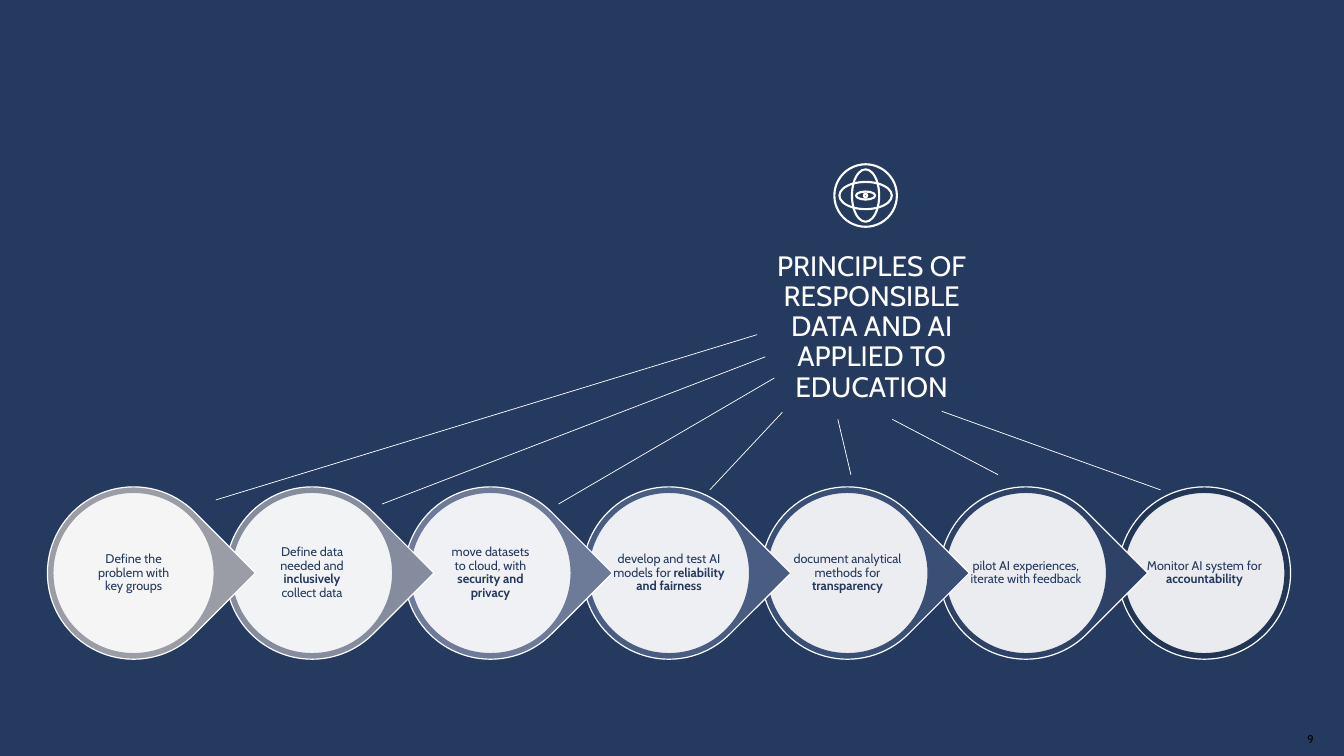
import pptx
import pptx.util
import pptx.dml.color
import pptx.enum.shapes
import pptx.enum.text
import pptx.oxml.ns
import lxml.etree

Inches = pptx.util.Inches
Pt = pptx.util.Pt
Kind = pptx.enum.shapes.MSO_SHAPE
Align = pptx.enum.text.PP_ALIGN
qn = pptx.oxml.ns.qn

COLORS = {"navy": "243A5E", "white": "FFFFFF", "black": "000000",
          "step1": "9A9DA5", "step2": "848C9E", "step3": "6D7A98",
          "step4": "495D83", "step5": "3A4F75", "step6": "2D4266",
          "step7": "213555"}


def rgb(name):
    return pptx.dml.color.RGBColor.from_string(COLORS[name])


def add_text(box, runs, size, color, align=Align.CENTER, inset=0, wrap=True):
    """Place a text box holding one paragraph of (text, bold) runs."""
    frame = slide.shapes.add_textbox(*[Inches(n) for n in box]).text_frame
    frame.word_wrap = wrap
    frame.margin_left = frame.margin_right = Inches(inset)
    frame.margin_top = frame.margin_bottom = Inches(inset)
    para = frame.paragraphs[0]
    para.alignment = align
    para.line_spacing = 0.9
    for text, bold in runs:
        run = para.add_run()
        run.text = text
        run.font.name = "Cabin"
        run.font.size = Pt(size)
        run.font.bold = bold
        run.font.color.rgb = rgb(color)
    return frame


deck = pptx.Presentation()
deck.slide_width = Inches(13.33)
deck.slide_height = Inches(7.5)
slide = deck.slides.add_slide(deck.slide_layouts[6])
slide.background.fill.solid()
slide.background.fill.fore_color.rgb = rgb("navy")

# Slide number
add_text((12.89, 7.28, 0.14, 0.13), [("9", False)], 8, "black",
         Align.RIGHT, wrap=False)

# Chain of steps: side of the text box, then its runs
steps = [
    (0.81, [("Define the problem with key groups", False)]),
    (0.81, [("Define data needed and ", False), ("inclusively ", True),
            ("collect data", False)]),
    (0.81, [("move datasets to cloud, with ", False),
            ("security and privacy", True)]),
    (1.14, [("develop and test AI models for ", False),
            ("reliability and fairness", True)]),
    (1.14, [("document analytical methods for ", False),
            ("transparency", True)]),
    (1.14, [("pilot AI experiences, iterate with feedback", False)]),
    (1.14, [("Monitor AI system for ", False), ("accountability", True)]),
]
first_x, mid_y, pitch = 1.325, 5.685, 1.77
outer, inner = 1.71, 1.6

# Later steps lie behind earlier ones
for i in reversed(range(len(steps))):
    side, runs = steps[i]
    mid_x = first_x + pitch * i
    tone = f"step{i + 1}"
    last = i == len(steps) - 1
    rings = [(Kind.OVAL if last else Kind.TEAR, outer, tone, "white"),
             (Kind.OVAL, inner, "white", tone)]
    for kind, size, fill, line in rings:
        ring = slide.shapes.add_shape(
            kind, Inches(mid_x - size / 2), Inches(mid_y - size / 2),
            Inches(size), Inches(size))
        ring.shadow.inherit = False
        ring.fill.solid()
        ring.fill.fore_color.rgb = rgb(fill)
        ring.line.color.rgb = rgb(line)
        ring.line.width = Pt(0.85)
        if kind == Kind.TEAR:
            ring.rotation = 45
    # The inner disc is slightly see-through
    tint = ring._element.spPr.find(qn("a:solidFill")).find(qn("a:srgbClr"))
    lxml.etree.SubElement(tint, qn("a:alpha")).set("val", "90000")
    frame = add_text((mid_x - side / 2, mid_y - side / 2, side, side),
                     runs, 9, "navy", inset=0 if i in (4, 6) else 0.01)
    frame.vertical_anchor = pptx.enum.text.MSO_ANCHOR.MIDDLE

# Heading
add_text((7.59, 2.5, 2.11, 1.51),
         [("PRINCIPLES OF RESPONSIBLE DATA AND AI APPLIED TO EDUCATION",
           False)], 20, "white")

# Eye icon: ovals around one centre
eye_x, eye_y = 8.585, 1.94
for wide, high in [(0.27, 0.52), (0.52, 0.27), (0.62, 0.62),
                   (0.19, 0.08), (0.03, 0.04)]:
    oval = slide.shapes.add_shape(
        Kind.OVAL, Inches(eye_x - wide / 2), Inches(eye_y - high / 2),
        Inches(wide), Inches(high))
    oval.shadow.inherit = False
    oval.fill.background()
    oval.line.color.rgb = rgb("white")
    oval.line.width = Pt(1.5)

# Rays from the heading to the steps
rays = [(7.51, 3.32, 2.14, 4.96), (7.59, 3.54, 3.79, 5),
        (7.68, 3.75, 5.54, 5), (7.76, 4.09, 7.04, 4.86),
        (8.31, 4.16, 8.44, 4.71), (8.85, 4.16, 9.9, 4.71),
        (9.34, 4.08, 11.51, 4.86)]
for ends in rays:
    ray = slide.shapes.add_connector(
        pptx.enum.shapes.MSO_CONNECTOR.STRAIGHT, *[Inches(n) for n in ends])
    ray.line.color.rgb = rgb("white")
    ray.line.width = Pt(0.5)
    lxml.etree.SubElement(ray._element.spPr, qn("a:effectLst"))

deck.save("out.pptx")
